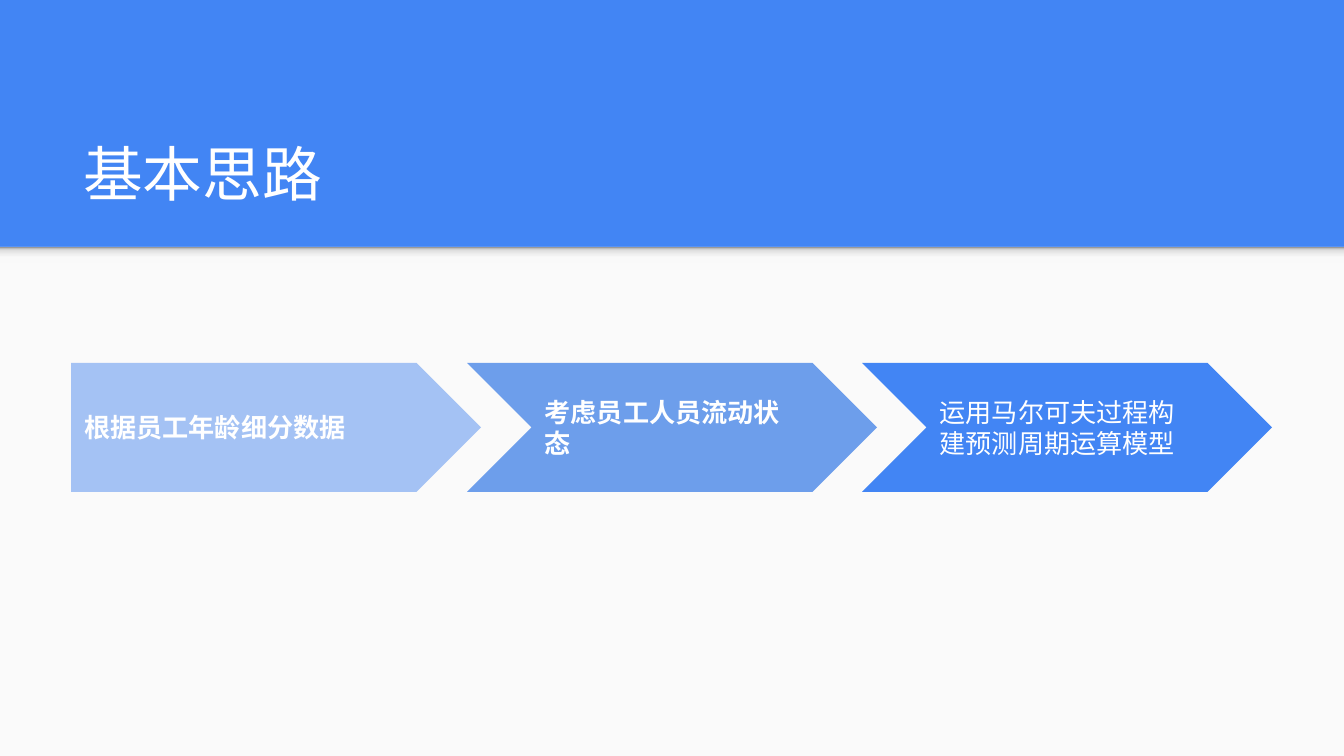
from dataclasses import dataclass

from lxml.etree import SubElement
from pptx import Presentation
from pptx.dml.color import RGBColor
from pptx.enum.shapes import MSO_SHAPE
from pptx.enum.text import MSO_ANCHOR, MSO_AUTO_SIZE, PP_ALIGN
from pptx.oxml.ns import qn
from pptx.util import Emu, Pt

PX = 914400 / 134.4


@dataclass(frozen=True)
class Theme:
    blue: str = "4285F4"
    mid_blue: str = "6D9EEB"
    pale_blue: str = "A4C2F4"
    paper: str = "FAFAFA"
    white: str = "FFFFFF"
    shade: tuple = ((0, "F9F9F9"), (36, "F9F9F9"), (80, "DEDEDE"), (100, "999999"))
    title_font: str = "Roboto"
    step_font: str = "Arial"
    title_size: int = 32
    step_size: int = 14


THEME = Theme()


def px(length):
    return Emu(round(length * PX))


def paint(fill, color):
    fill.solid()
    fill.fore_color.rgb = RGBColor.from_string(color)


def add_block(slide, kind, box, color):
    block = slide.shapes.add_shape(kind, *map(px, box))
    block.shadow.inherit = False
    block.line.fill.background()
    paint(block.fill, color)
    return block


def set_text(frame, text, anchor, font_name, size, bold=False):
    frame.text = text
    frame.word_wrap = True
    frame.auto_size = MSO_AUTO_SIZE.NONE
    frame.vertical_anchor = anchor
    frame.margin_left = frame.margin_right = px(13)
    frame.margin_top = frame.margin_bottom = px(13)
    paragraph = frame.paragraphs[0]
    paragraph.alignment = PP_ALIGN.LEFT
    font = paragraph.font
    font.name, font.size, font.bold = font_name, Pt(size), bold
    font.color.rgb = RGBColor.from_string(THEME.white)


def add_paper(slide, box):
    left, top, width, _ = box
    add_block(slide, MSO_SHAPE.RECTANGLE, box, THEME.paper)
    edge = add_block(slide, MSO_SHAPE.RECTANGLE, (left, top, width, 16), THEME.paper)
    edge.fill.gradient()
    edge.fill.gradient_angle = 90
    stops = next(edge.element.iter(qn("a:gsLst")))
    for stop in list(stops):
        stops.remove(stop)
    for percent, color in THEME.shade:
        stop = SubElement(stops, qn("a:gs"), pos=str(percent * 1000))
        SubElement(stop, qn("a:srgbClr"), val=color)


def add_title(slide, box, text):
    title = slide.shapes.title
    title.left, title.top, title.width, title.height = map(px, box)
    set_text(title.text_frame, text, MSO_ANCHOR.BOTTOM,
             THEME.title_font, THEME.title_size)


def add_process(slide, box, steps):
    left, top, width, height = box
    step_width = 410
    pitch = (width - step_width) / (len(steps) - 1)
    for index, (kind, color, text, bold) in enumerate(steps):
        step_box = (left + round(index * pitch), top, step_width, height)
        step = add_block(slide, kind, step_box, color)
        step.adjustments[0] = 0.5
        set_text(step.text_frame, text, MSO_ANCHOR.MIDDLE,
                 THEME.step_font, THEME.step_size, bold)


def build_approach_slide(deck):
    slide = deck.slides.add_slide(deck.slide_layouts[5])
    paint(slide.background.fill, THEME.blue)
    add_paper(slide, (0, 247, 1344, 509))
    add_title(slide, (70, 109, 1208, 113), "基本思路")
    add_process(slide, (71, 363, 1201, 129), [
        (MSO_SHAPE.PENTAGON, THEME.pale_blue, "根据员工年龄细分数据", True),
        (MSO_SHAPE.CHEVRON, THEME.mid_blue, "考虑员工人员流动状态", True),
        (MSO_SHAPE.CHEVRON, THEME.blue, "运用马尔可夫过程构建预测周期运算模型", False),
    ])


deck = Presentation()
deck.slide_width, deck.slide_height = px(1344), px(756)
build_approach_slide(deck)
deck.save("out.pptx")
